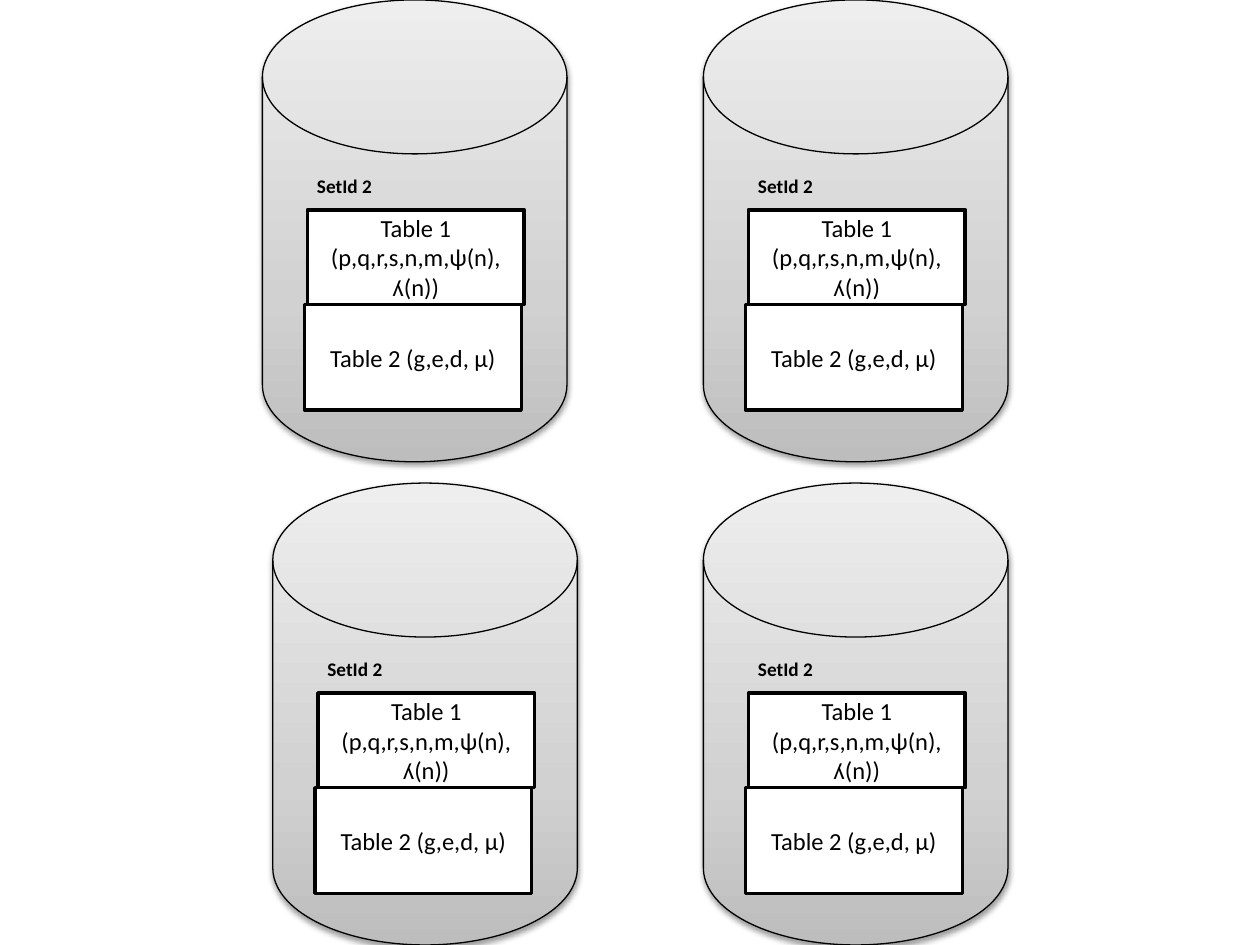
"""Build a slide of four database cylinders, each holding two tables."""
import pptx
import pptx.dml.color
import pptx.enum.shapes
import pptx.enum.text
import pptx.oxml
import pptx.oxml.ns
import pptx.util

Cm = pptx.util.Cm
Pt = pptx.util.Pt
SHAPES = pptx.enum.shapes.MSO_SHAPE
ALIGN = pptx.enum.text.PP_ALIGN
ANCHOR = pptx.enum.text.MSO_ANCHOR
COLORS = {"ink": "000000", "paper": "FFFFFF", "dark": "BDBDBD", "middle": "D1D1D1", "light": "EEEEEE"}
GRADIENT_STOPS = [(0, "dark"), (35, "middle"), (100, "light")]
NAMESPACE = pptx.oxml.ns.nsdecls("a")


def color(name):
    return pptx.dml.color.RGBColor.from_string(COLORS[name])


def write_text(shape, text, alignment, anchor, font_format):
    frame = shape.text_frame
    for name, value in {"word_wrap": True, "vertical_anchor": anchor}.items():
        setattr(frame, name, value)
    paragraph = frame.paragraphs[0]
    paragraph.alignment = alignment
    run = paragraph.add_run()
    run.text = text
    for name, value in {"name": "Calibri", **font_format}.items():
        setattr(run.font, name, value)
    run.font.color.rgb = color("ink")


presentation = pptx.Presentation()
presentation.slide_width, presentation.slide_height = Cm(25.4), Cm(19.05)
slide = presentation.slides.add_slide(presentation.slide_layouts[6])

tables = [
    ("Table 1 (p,q,r,s,n,m,ψ(n), ʎ(n))", 0.91, 4.23, 1.91),
    ("Table 2 (g,e,d, µ)", 0.85, 6.14, 2.13),
]

for left, top in [(5.29, 0), (14.18, 0), (5.5, 9.74), (14.18, 9.74)]:
    cylinder = slide.shapes.add_shape(
        SHAPES.FLOWCHART_MAGNETIC_DISK, Cm(left), Cm(top), Cm(6.14), Cm(9.31))
    cylinder.fill.gradient()
    cylinder.fill.gradient_angle = 90
    cylinder.line.color.rgb = color("ink")
    cylinder.line.width = Pt(0.75)
    cylinder.shadow.inherit = False
    properties = cylinder.element.spPr
    stop_list = properties.find(".//" + pptx.oxml.ns.qn("a:gsLst"))
    for stop in list(stop_list):
        stop_list.remove(stop)
    for position, name in GRADIENT_STOPS:
        stop_list.append(pptx.oxml.parse_xml(
            f'<a:gs {NAMESPACE} pos="{position * 1000}"><a:srgbClr val="{COLORS[name]}"/></a:gs>'))
    properties.find(pptx.oxml.ns.qn("a:effectLst")).append(pptx.oxml.parse_xml(
        f'<a:outerShdw {NAMESPACE} blurRad="{Pt(3.1)}" dist="{Pt(1.6)}" dir="5400000" rotWithShape="0">'
        f'<a:srgbClr val="{COLORS["ink"]}"><a:alpha val="38000"/></a:srgbClr></a:outerShdw>'))

    for text, offset_x, offset_y, height in tables:
        table_box = slide.shapes.add_shape(
            SHAPES.RECTANGLE, Cm(left + offset_x), Cm(top + offset_y), Cm(4.37), Cm(height))
        table_box.shadow.inherit = False
        table_box.fill.solid()
        table_box.fill.fore_color.rgb = color("paper")
        table_box.line.color.rgb = color("ink")
        table_box.line.width = Pt(2)
        write_text(table_box, text, ALIGN.CENTER, ANCHOR.MIDDLE, {"size": Pt(14)})

    label = slide.shapes.add_textbox(Cm(left + 0.85), Cm(top + 3.39), Cm(2.92), Cm(0.74))
    write_text(label, "SetId 2", ALIGN.LEFT, ANCHOR.TOP, {"size": Pt(11), "bold": True})
    label.text_frame.auto_size = pptx.enum.text.MSO_AUTO_SIZE.SHAPE_TO_FIT_TEXT

presentation.save("out.pptx")
